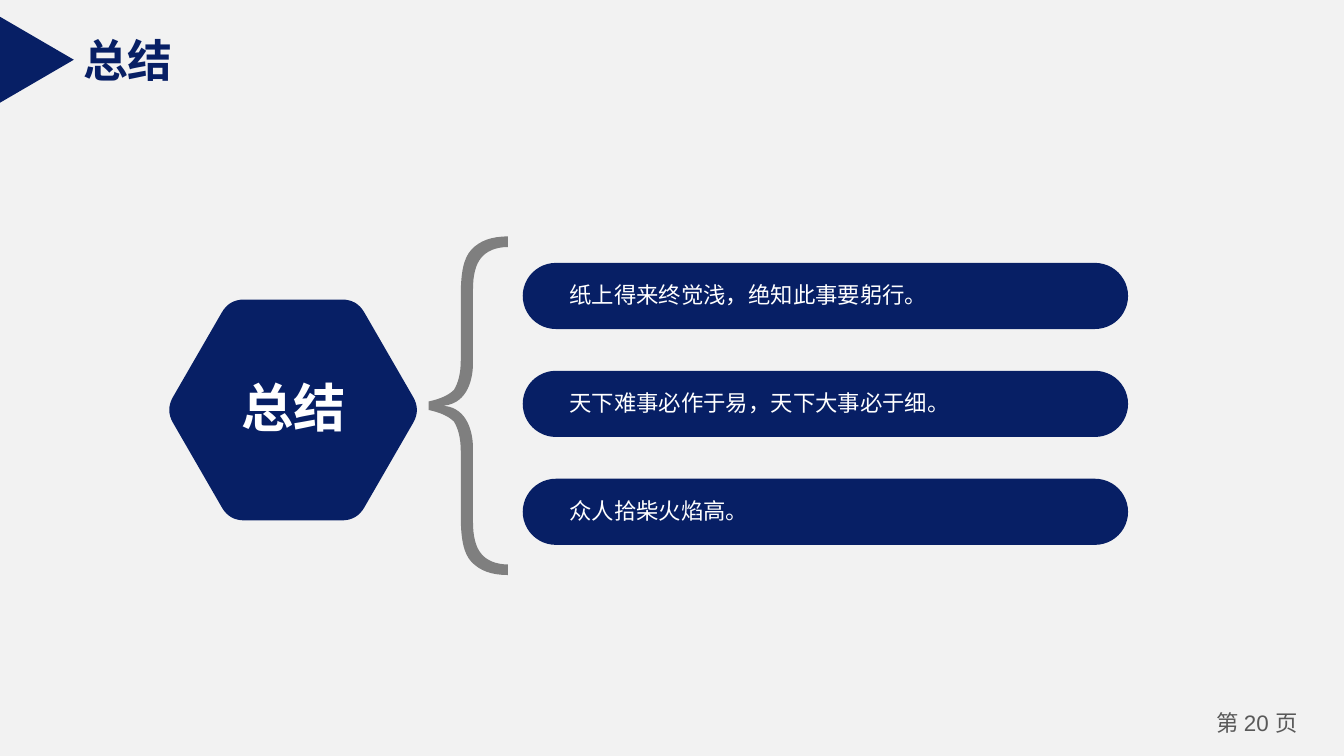
"""Build a summary slide: a hexagon, a brace and three sayings."""
from math import cos, pi, sin

from lxml import etree
from pptx import Presentation
from pptx.dml.color import RGBColor
from pptx.enum.shapes import MSO_SHAPE
from pptx.enum.text import MSO_ANCHOR, PP_ALIGN
from pptx.oxml.ns import qn
from pptx.util import Cm, Pt

TRIANGLE, PILL = MSO_SHAPE.ISOSCELES_TRIANGLE, MSO_SHAPE.ROUNDED_RECTANGLE
TOP, MIDDLE = MSO_ANCHOR.TOP, MSO_ANCHOR.MIDDLE
LEFT, CENTER, JUSTIFY = PP_ALIGN.LEFT, PP_ALIGN.CENTER, PP_ALIGN.JUSTIFY
TITLE_ONLY = 5

COLORS = {"paper": "F2F2F2", "navy": "071F65", "brace": "7F7F7F",
          "white": "FFFFFF", "page": "595959"}
CJK, LATIN = "Noto Sans CJK SC", "Arial"

TITLE = "总结"
HUB = "总结"
SAYINGS = ["纸上得来终觉浅，绝知此事要躬行。", "天下难事必作于易，天下大事必于细。", "众人拾柴火焰高。"]
PAGE_NUMBER = [("第 ", CJK), ("20 ", LATIN), ("页", CJK)]

PLACES = {"page": (22.61, 13.31, 2.29, 0.76), "title": (1.32, 0.5, 2.24, 1.27),
          "marker": (-0.12, 0.43, 1.63, 1.4), "hub": (4.29, 7.09, 2.51, 1.19)}
BAR = {"left": 9.88, "top": 4.97, "width": 11.44, "height": 1.25, "pitch": 2.04}
SAYING = {"left": 10.76, "inset": 0.4, "width": 9.6, "height": 0.46}
HEXAGON = {"center": (5.54, 7.75), "radius": 2.41, "cut": 0.28}
BRACE_TIP = (8.10, 7.67)
BRACE_START = (0, -0.08)
BRACE_HALF = [
    [(0.23, -0.13), (0.38, -0.20), (0.48, -0.30)],
    [(0.56, -0.43), (0.61, -0.61), (0.61, -0.86)],
    [(0.61, -2.08)],
    [(0.61, -2.51), (0.66, -2.79), (0.81, -2.95)],
    [(0.97, -3.12), (1.19, -3.20), (1.50, -3.20)],
    [(1.50, -3.00)],
    [(1.27, -3.00), (1.09, -2.92), (0.99, -2.79)],
    [(0.89, -2.67), (0.84, -2.46), (0.84, -2.21)],
    [(0.84, -0.81)],
    [(0.84, -0.43), (0.69, 0), (0.23, 0)],
]


def color(name):
    return RGBColor.from_string(COLORS[name])


def mix(a, b, share):
    return tuple(p + (q - p) * share for p, q in zip(a, b))


def hexagon_outline(center, radius, cut):
    """Return the start and the segments of a hexagon with rounded corners."""
    corners = [(center[0] + radius * cos(k * pi / 3),
                center[1] + radius * sin(k * pi / 3)) for k in range(6)]
    segments = []
    for k, corner in enumerate(corners):
        start = mix(corner, corners[k - 1], cut / radius)
        end = mix(corner, corners[(k + 1) % 6], cut / radius)
        crest = mix(mix(start, end, 0.5), corner, 0.5)
        before, after = mix(start, corner, 0.5), mix(end, corner, 0.5)
        segments += [
            [start],
            [mix(start, before, 2 / 3), mix(crest, before, 2 / 3), crest],
            [mix(crest, after, 2 / 3), mix(end, after, 2 / 3), end],
        ]
    return segments[0][0], segments[1:]


def brace_outline(tip):
    """Return the start and the segments of a brace, its lower half mirrored."""
    anchors = [BRACE_START] + [segment[-1] for segment in BRACE_HALF]
    lower = [[(x, -y) for x, y in segment[-2::-1] + [anchor]]
             for anchor, segment in reversed(list(zip(anchors, BRACE_HALF)))]
    segments = [[(tip[0] + x, tip[1] + y) for x, y in segment]
                for segment in BRACE_HALF + lower]
    return (tip[0] + BRACE_START[0], tip[1] + BRACE_START[1]), segments


def paint(shape, name):
    shape.fill.solid()
    shape.fill.fore_color.rgb = color(name)
    shape.line.fill.background()
    shape.shadow.inherit = False
    return shape


def add_outline(slide, outline, name):
    """Size a freeform by its anchors, then draw its segments as true curves."""
    start, segments = outline
    anchors = [(Cm(x), Cm(y)) for x, y in [start] + [part[-1] for part in segments]]
    builder = slide.shapes.build_freeform(*anchors[0], scale=1)
    builder.add_line_segments(anchors[1:], close=True)
    shape = paint(builder.convert_to_shape(), name)
    route = next(shape._element.iter(qn("a:path")))
    for child in list(route):
        route.remove(child)
    for tag, points in [("moveTo", [start])] + [
            ("lnTo" if len(part) == 1 else "cubicBezTo", part) for part in segments]:
        command = etree.SubElement(route, qn("a:" + tag))
        for x, y in points:
            etree.SubElement(command, qn("a:pt"), x=str(Cm(x) - shape.left),
                             y=str(Cm(y) - shape.top))
    etree.SubElement(route, qn("a:close"))


def add_preset(slide, kind, place, name):
    return paint(slide.shapes.add_shape(kind, *map(Cm, place)), name)


def write(shape, pieces, size, name, align, bold=False, anchor=MIDDLE, insets=(0, 0)):
    frame = shape.text_frame
    frame.margin_left = frame.margin_right = Cm(insets[0])
    frame.margin_top = frame.margin_bottom = Cm(insets[1])
    frame.vertical_anchor = anchor
    frame.word_wrap = True
    para = frame.paragraphs[0]
    para.alignment = align
    for text, font in pieces:
        span = para.add_run()
        span.text = text
        span.font.name = font
        span.font.size = Pt(size)
        span.font.bold = bold
        span.font.color.rgb = color(name)
        etree.SubElement(span._r.get_or_add_rPr(), qn("a:ea"), typeface=CJK)
    return para


def add_text(slide, place, *content, **style):
    return write(slide.shapes.add_textbox(*map(Cm, place)), *content, **style)


def build():
    deck = Presentation()
    deck.slide_width, deck.slide_height = Cm(25.4), Cm(14.29)
    slide = deck.slides.add_slide(deck.slide_layouts[TITLE_ONLY])
    slide.background.fill.solid()
    slide.background.fill.fore_color.rgb = color("paper")

    title = slide.shapes.title
    title.left, title.top, title.width, title.height = map(Cm, PLACES["title"])
    write(title, [(TITLE, LATIN)], 24, "navy", LEFT, bold=True, insets=(0.25, 0.13))
    add_text(slide, PLACES["page"], PAGE_NUMBER, 12, "page", CENTER,
             anchor=TOP, insets=(0.18, 0.1))

    marker = add_preset(slide, TRIANGLE, PLACES["marker"], "navy")
    marker.rotation = 90

    add_outline(slide, hexagon_outline(**HEXAGON), "navy")
    add_text(slide, PLACES["hub"], [(HUB, CJK)], 28, "white", CENTER, bold=True)
    add_outline(slide, brace_outline(BRACE_TIP), "brace")

    tops = [BAR["top"] + row * BAR["pitch"] for row in range(len(SAYINGS))]
    for top in tops:
        bar = add_preset(slide, PILL, (BAR["left"], top, BAR["width"], BAR["height"]), "navy")
        bar.adjustments[0] = 0.5
    for top, saying in zip(tops, SAYINGS):
        place = (SAYING["left"], top + SAYING["inset"], SAYING["width"], SAYING["height"])
        para = add_text(slide, place, [(saying, CJK)], 12, "white", JUSTIFY)
        para.line_spacing = Pt(13)

    deck.save("out.pptx")


if __name__ == "__main__":
    build()
